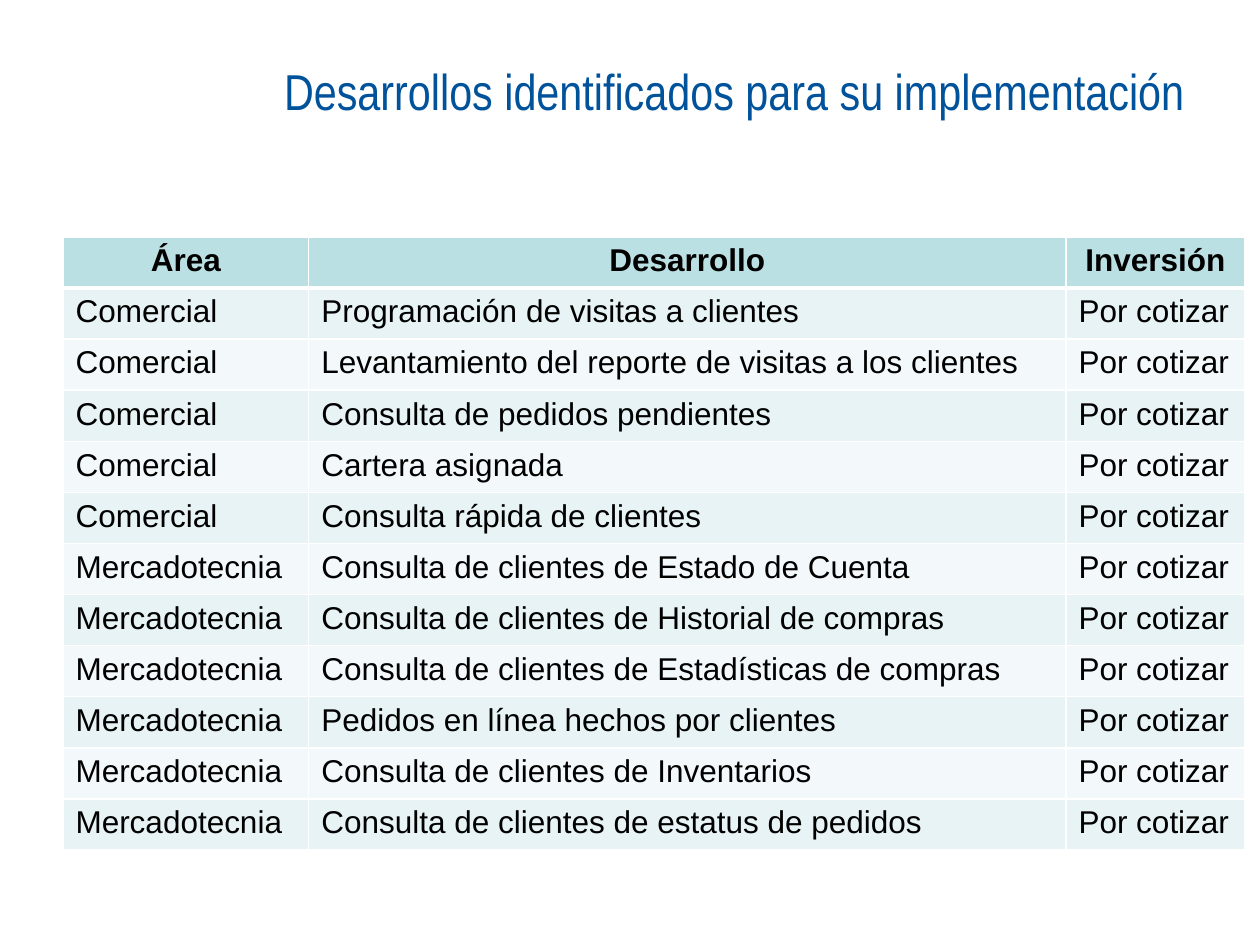
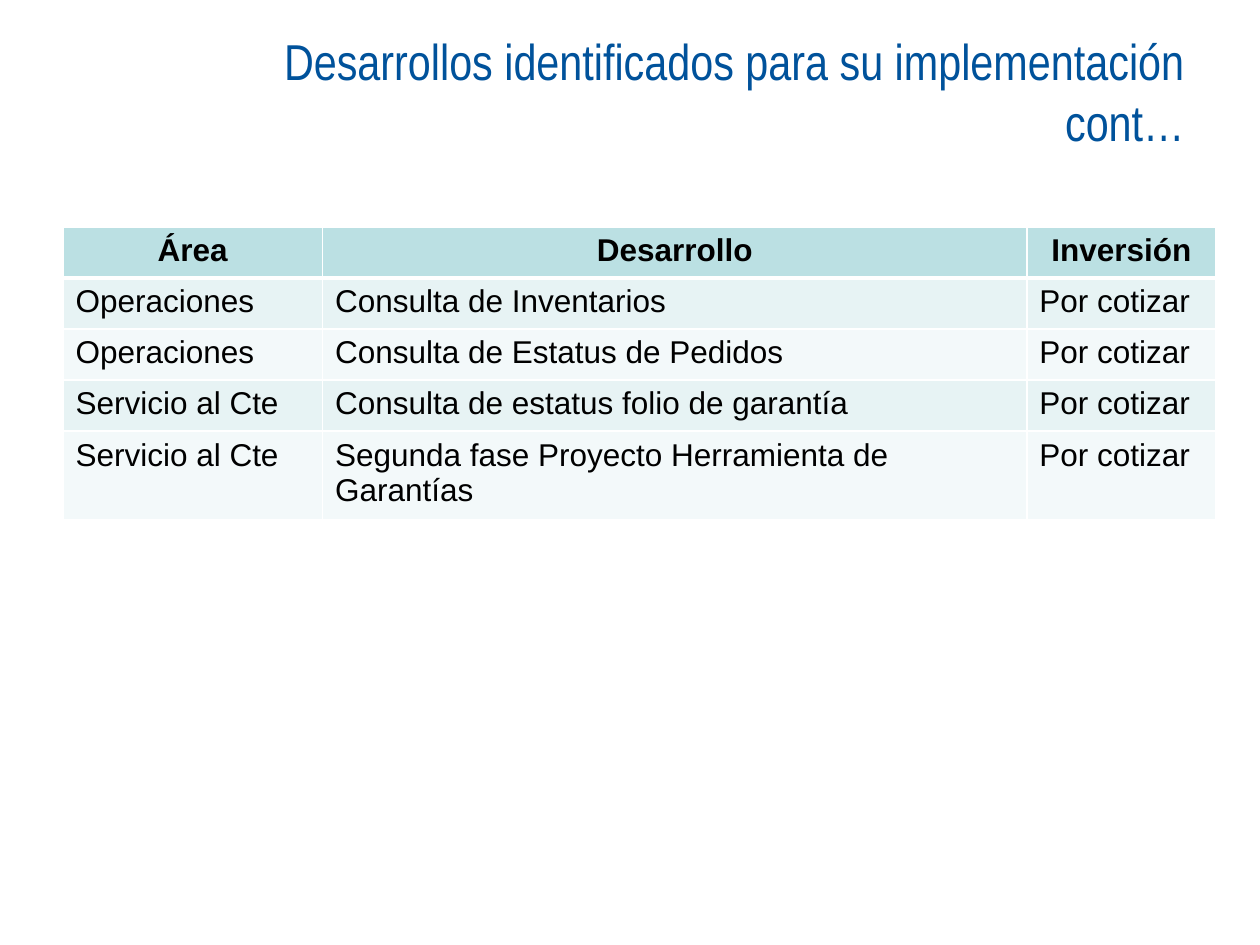
"""Build two slides listing the developments identified for implementation."""
from dataclasses import dataclass

from lxml import etree
from pptx import Presentation
from pptx import util as u
from pptx.dml.color import RGBColor
from pptx.enum import text
from pptx.oxml import ns

TITLE_BLUE = RGBColor(0x00, 0x52, 0x9B)
HEADER_TEAL = RGBColor(0xBB, 0xE0, 0xE3)
BANDS = (RGBColor(0xE7, 0xF3, 0xF4), RGBColor(0xF3, 0xF9, 0xFA))
BLACK = RGBColor(0x00, 0x00, 0x00)
WHITE = RGBColor(0xFF, 0xFF, 0xFF)

TITLE = "Desarrollos identificados para su implementación"
HEADINGS = ("Área", "Desarrollo", "Inversión")
INVESTMENT = "Por cotizar"
LEFT = u.Inches(0.5)
ROW_HEIGHT = u.Inches(4.87 / 12)
THIN, THICK = 1, 3


@dataclass(frozen=True)
class AreaGroup:
    area: str
    developments: tuple[str, ...]


@dataclass(frozen=True)
class DevelopmentSlide:
    title: str
    top: float
    height: float
    column_widths: tuple[float, ...]
    groups: tuple[AreaGroup, ...]


DEVELOPMENT_SLIDES = (
    DevelopmentSlide(TITLE, 1.88, 4.87, (1.95, 6.01, 1.42), (
        AreaGroup("Comercial", (
            "Programación de visitas a clientes",
            "Levantamiento del reporte de visitas a los clientes",
            "Consulta de pedidos pendientes",
            "Cartera asignada",
            "Consulta rápida de clientes",
        )),
        AreaGroup("Mercadotecnia", (
            "Consulta de clientes de Estado de Cuenta",
            "Consulta de clientes de Historial de compras",
            "Consulta de clientes de Estadísticas de compras",
            "Pedidos en línea hechos por clientes",
            "Consulta de clientes de Inventarios",
            "Consulta de clientes de estatus de pedidos",
        )),
    )),
    DevelopmentSlide(f"{TITLE}\vcont…", 1.8, 2.32, (2.06, 5.59, 1.5), (
        AreaGroup("Operaciones", (
            "Consulta de Inventarios",
            "Consulta de Estatus de Pedidos",
        )),
        AreaGroup("Servicio al Cte", (
            "Consulta de estatus folio de garantía",
            "Segunda fase Proyecto Herramienta de Garantías",
        )),
    )),
)


def style_runs(paragraph, font_name: str, size: float, color: RGBColor, bold: bool = False) -> None:
    for run in paragraph.runs:
        run.font.name = font_name
        run.font.size = u.Pt(size)
        run.font.bold = bold
        run.font.color.rgb = color


def add_title(slide, wording: str) -> None:
    title = slide.shapes.add_textbox(LEFT, u.Inches(0.3), u.Inches(9), u.Inches(0.84))
    frame = title.text_frame
    frame.word_wrap = True
    frame.vertical_anchor = text.MSO_ANCHOR.MIDDLE
    frame.text = wording
    heading = frame.paragraphs[0]
    heading.alignment = text.PP_ALIGN.RIGHT
    style_runs(heading, "Arial Narrow", 28.8, TITLE_BLUE)


def set_borders(cell, top: int, bottom: int) -> None:
    properties = cell._tc.get_or_add_tcPr()
    for edge, points in (("L", THIN), ("R", THIN), ("T", top), ("B", bottom)):
        line = etree.SubElement(properties, ns.qn(f"a:ln{edge}"), w=str(u.Pt(points)))
        fill = etree.SubElement(line, ns.qn("a:solidFill"))
        etree.SubElement(fill, ns.qn("a:srgbClr"), val=str(WHITE))


def fill_cell(cell, wording: str, row_index: int) -> None:
    is_header = row_index == 0
    set_borders(cell, THICK if row_index == 1 else THIN, THICK if is_header else THIN)
    cell.fill.solid()
    cell.fill.fore_color.rgb = HEADER_TEAL if is_header else BANDS[(row_index - 1) % 2]
    cell.text_frame.text = wording
    paragraph = cell.text_frame.paragraphs[0]
    if is_header:
        paragraph.alignment = text.PP_ALIGN.CENTER
    style_runs(paragraph, "Arial", 18, BLACK, is_header)


def add_developments(slide, content: DevelopmentSlide) -> None:
    rows = [HEADINGS] + [
        (group.area, development, INVESTMENT)
        for group in content.groups
        for development in group.developments
    ]
    frame = slide.shapes.add_table(
        len(rows), len(HEADINGS), LEFT, u.Inches(content.top),
        u.Inches(sum(content.column_widths)), u.Inches(content.height))
    for column, width in zip(frame.table.columns, content.column_widths):
        column.width = u.Inches(width)
    for row_index, (row, wordings) in enumerate(zip(frame.table.rows, rows)):
        row.height = ROW_HEIGHT
        for cell, wording in zip(row.cells, wordings):
            fill_cell(cell, wording, row_index)
    frame.height = u.Inches(content.height)


def main() -> None:
    deck = Presentation()
    deck.slide_width, deck.slide_height = u.Inches(10), u.Inches(7.5)
    for content in DEVELOPMENT_SLIDES:
        slide = deck.slides.add_slide(deck.slide_layouts[6])
        add_title(slide, content.title)
        add_developments(slide, content)
    deck.save("out.pptx")


main()
